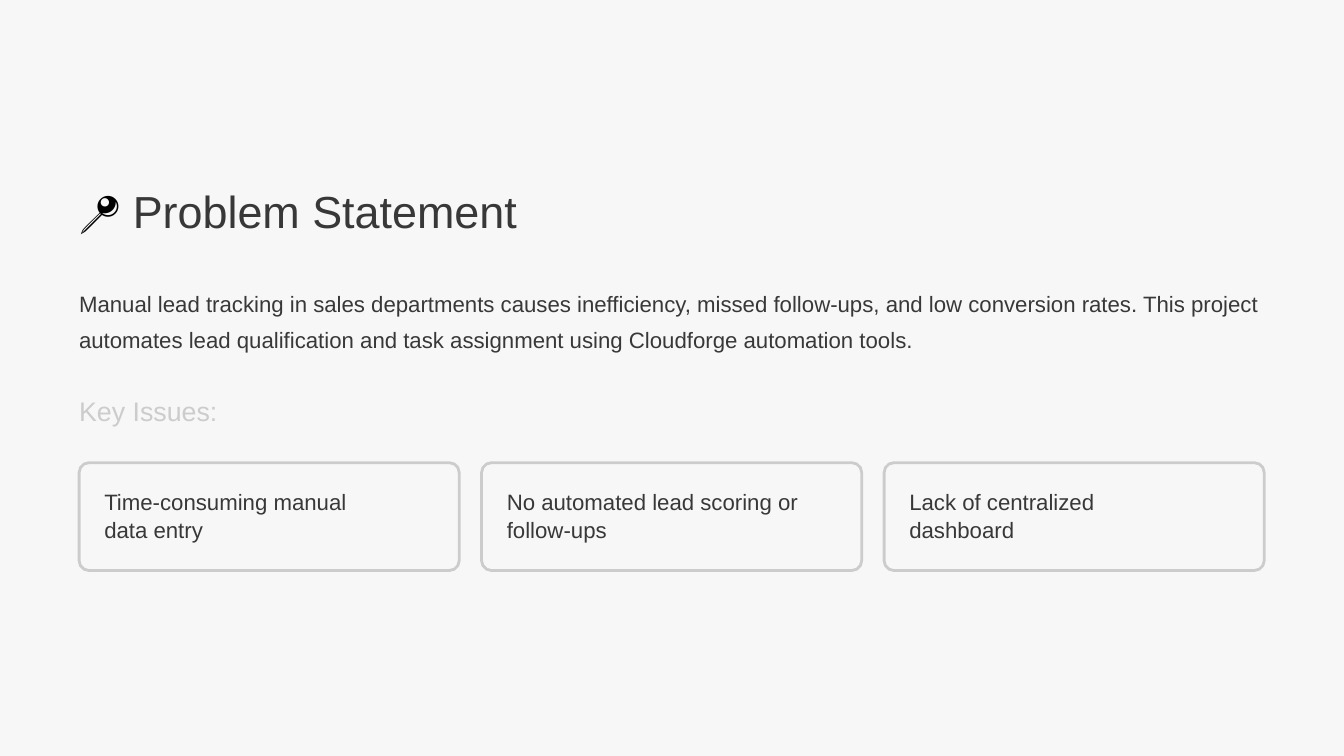
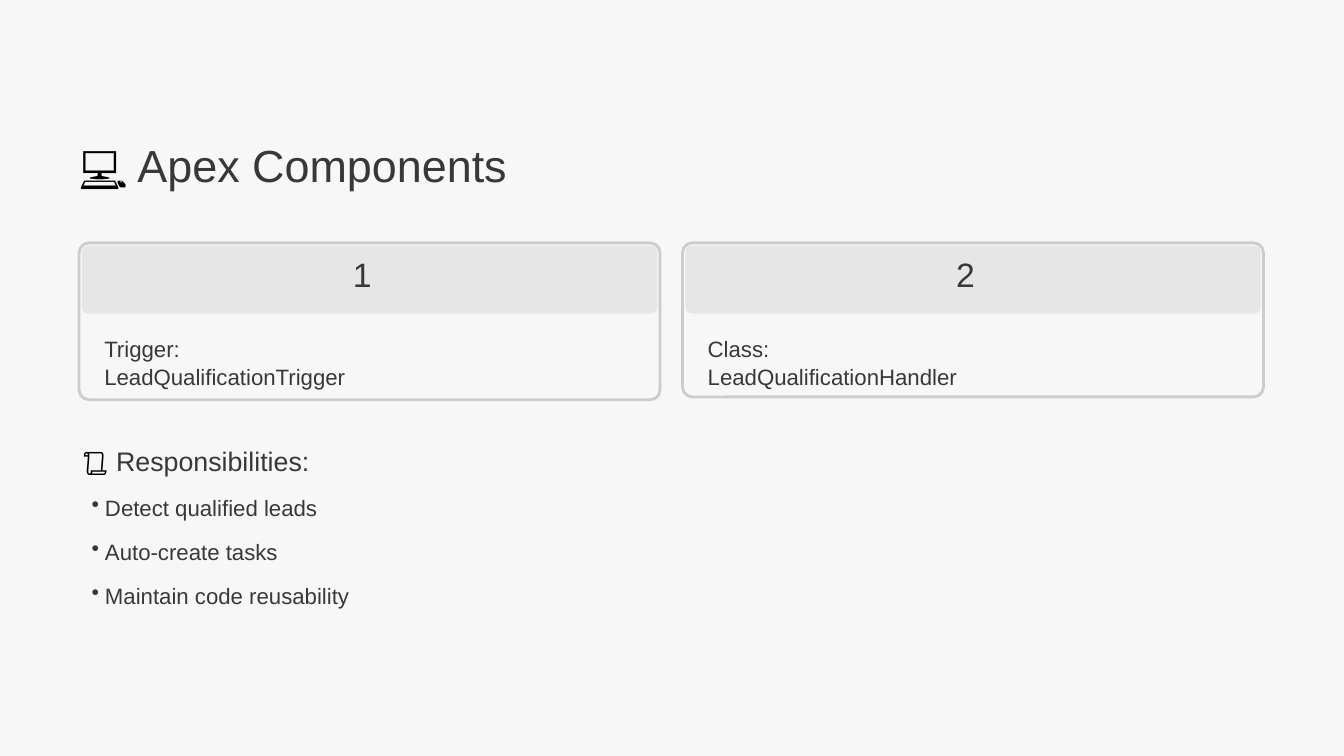
"""Build two slides on lead automation: the problem and the Apex components."""
from dataclasses import dataclass

from lxml import etree
from pptx import Presentation
from pptx.dml.color import RGBColor
from pptx.enum import shapes, text
from pptx.oxml import ns
from pptx.util import Pt

PROBLEM = {
    "title": ("📍", " Problem Statement"),
    "summary": "Manual lead tracking in sales departments causes inefficiency, missed "
               "follow-ups, and low conversion rates. This project automates lead "
               "qualification and task assignment using Cloudforge automation tools.",
    "heading": "Key Issues:",
    "issues": [
        ("Time-consuming manual data entry", 415),
        ("No automated lead scoring or follow-ups", 470),
        ("Lack of centralized dashboard", 345),
    ],
}
APEX = {
    "title": ("💻", " Apex Components"),
    "components": [
        ("1", "Trigger: LeadQualificationTrigger", 396, 224),
        ("2", "Class: LeadQualificationHandler", 372, 220),
    ],
    "heading": ("📜", " Responsibilities:"),
    "duties": ["Detect qualified leads", "Auto-create tasks", "Maintain code reusability"],
}

PX = 9525
WIDTH, HEIGHT = 1920, 1080
LEFT, CONTENT_WIDTH, GAP = 113, 1693, 32
CARD_PAD, BORDER = 36, 4


@dataclass(frozen=True)
class Theme:
    """Colours, font and type sizes with their line spacing in points."""
    font: str = "Arial"
    paper: str = "F7F7F7"
    border: str = "CCCCCC"
    band: str = "E6E6E6"
    ink: str = "383838"
    icon: str = "000000"
    title: tuple = (48.1, 60.6)
    heading: tuple = (28.7, 36.2)
    number: tuple = (36.2, 36.2)
    body: tuple = (23.8, 38.8)
    card: tuple = (23.8, 30)


THEME = Theme()


def rgb(colour):
    """Turn a hex string into a colour."""
    return RGBColor.from_string(colour)


def write(slide, box, style, *runs):
    """Add a text box of (words, colour) runs and return its paragraph."""
    frame = slide.shapes.add_textbox(*(n * PX for n in box)).text_frame
    frame.margin_left = frame.margin_right = frame.margin_top = frame.margin_bottom = 0
    frame.word_wrap = True
    frame.auto_size = text.MSO_AUTO_SIZE.SHAPE_TO_FIT_TEXT
    paragraph = frame.paragraphs[0]
    size, spacing = style
    paragraph.line_spacing = Pt(spacing)
    for words, colour in runs:
        run = paragraph.add_run()
        run.text = words
        run.font.name, run.font.size = THEME.font, Pt(size)
        run.font.color.rgb = rgb(colour)
    return paragraph


def write_with_icon(slide, box, style, content):
    """Write a black icon followed by its words."""
    icon, words = content
    write(slide, box, style, (icon, THEME.icon), (words, THEME.ink))


def rounded(slide, box, radius, fill, line=None):
    """Add a rounded panel with an optional border."""
    panel = slide.shapes.add_shape(
        shapes.MSO_SHAPE.ROUNDED_RECTANGLE, *(n * PX for n in box))
    panel.adjustments[0] = radius / min(box[2:])
    panel.shadow.inherit = False
    panel.fill.solid()
    panel.fill.fore_color.rgb = rgb(fill)
    if line:
        panel.line.color.rgb = rgb(line)
        panel.line.width = BORDER * PX
    else:
        panel.line.fill.background()


def card(slide, box):
    """Add a bordered card."""
    rounded(slide, box, 14, THEME.paper, THEME.border)


def columns(count):
    """Return the left edges and the width of equal columns."""
    width = (CONTENT_WIDTH - GAP * (count - 1)) // count
    return [LEFT + i * (width + GAP) for i in range(count)], width


def bullet(paragraph):
    """Give a paragraph a hanging bullet."""
    paragraph.level = 1
    props = paragraph._p.get_or_add_pPr()
    props.set("marL", str(37 * PX))
    props.set("indent", str(-19 * PX))
    etree.SubElement(props, ns.qn("a:buChar")).set("char", "•")


def new_slide(deck, title, top):
    """Add a blank slide with the shared background and title."""
    slide = deck.slides.add_slide(deck.slide_layouts[6])
    slide.background.fill.solid()
    slide.background.fill.fore_color.rgb = rgb(THEME.paper)
    write_with_icon(slide, (LEFT, top, 910, 85), THEME.title, title)
    return slide


def problem_slide(deck):
    """Lay out the summary and the row of key issues."""
    slide = new_slide(deck, PROBLEM["title"], 259)
    write(slide, (LEFT, 401, CONTENT_WIDTH, 114), THEME.body,
          (PROBLEM["summary"], THEME.ink))
    write(slide, (LEFT, 562, 389, 52), THEME.heading, (PROBLEM["heading"], THEME.border))
    lefts, width = columns(len(PROBLEM["issues"]))
    for left, (issue, issue_width) in zip(lefts, PROBLEM["issues"]):
        card(slide, (left, 661, width, 154))
        write(slide, (left + CARD_PAD, 695, issue_width, 85), THEME.card,
              (issue, THEME.ink))


def apex_slide(deck):
    """Lay out the numbered components and their responsibilities."""
    slide = new_slide(deck, APEX["title"], 193)
    top = 347
    lefts, width = columns(len(APEX["components"]))
    for left, (number, component, words_width, height) in zip(lefts, APEX["components"]):
        card(slide, (left, top, width, height))
        rounded(slide, (left + BORDER, top + BORDER, width - 2 * BORDER, 97), 9, THEME.band)
        write(slide, (left + width // 2 - 24, 372, 49, 57), THEME.number,
              (number, THEME.ink))
        write(slide, (left + CARD_PAD, 477, words_width, 85), THEME.card,
              (component, THEME.ink))
    write_with_icon(slide, (LEFT + BORDER, 633, 389, 53), THEME.heading, APEX["heading"])
    for row, duty in enumerate(APEX["duties"]):
        bullet(write(slide, (LEFT, 692 + 63 * row, CONTENT_WIDTH, 62), THEME.body,
                     (duty, THEME.ink)))


def main():
    """Build and save the deck."""
    deck = Presentation()
    deck.slide_width, deck.slide_height = WIDTH * PX, HEIGHT * PX
    problem_slide(deck)
    apex_slide(deck)
    deck.save("out.pptx")


if __name__ == "__main__":
    main()
